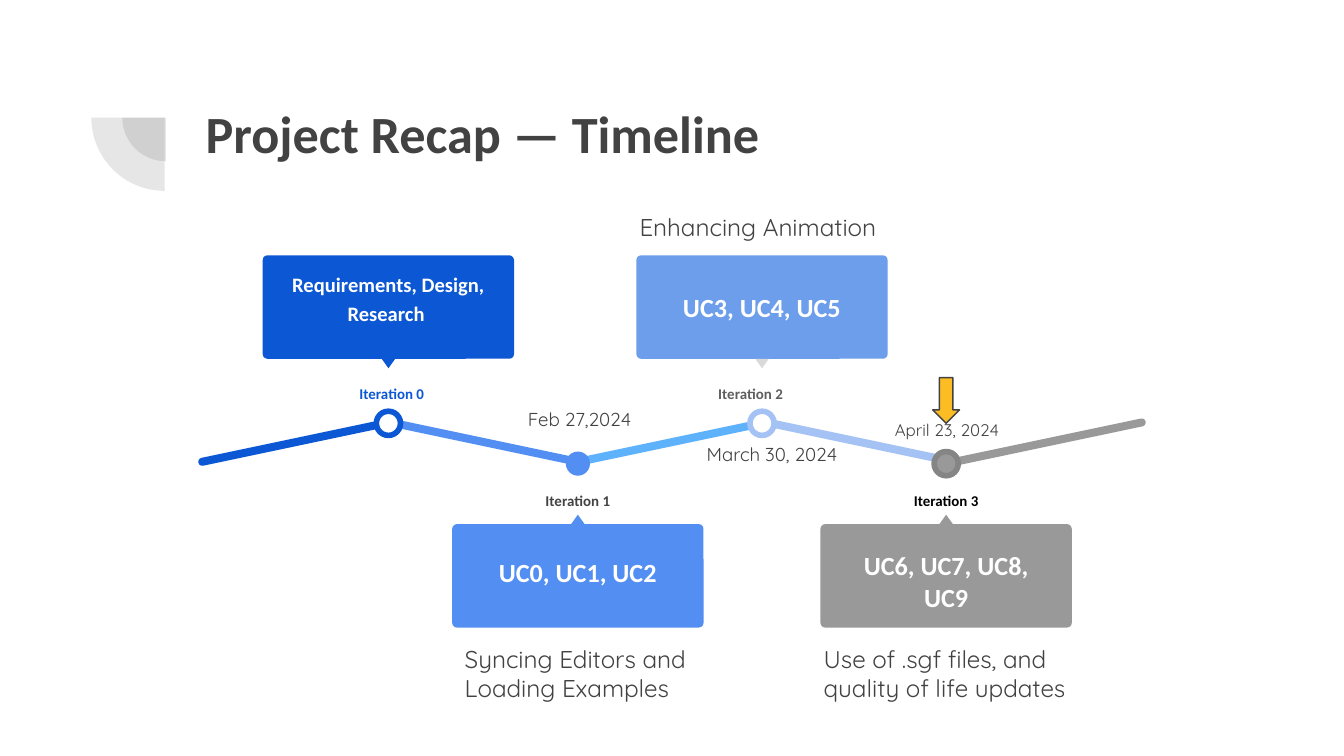
from dataclasses import dataclass

from lxml import etree
from pptx import Presentation
from pptx.dml.color import RGBColor
from pptx.enum.shapes import MSO_SHAPE as Preset
from pptx.enum.text import MSO_ANCHOR as Anchor, MSO_AUTO_SIZE as AutoSize, PP_ALIGN as Align
from pptx.oxml.ns import qn
from pptx.util import Inches, Pt

CHARCOAL = RGBColor(0x42, 0x42, 0x42)
LABEL_GRAY = RGBColor(0x43, 0x43, 0x43)
MID_GRAY = RGBColor(0x5E, 0x5E, 0x5E)
RING_GRAY = RGBColor(0x85, 0x85, 0x85)
GRAY = RGBColor(0x99, 0x99, 0x99)
PALE_GRAY = RGBColor(0xD9, 0xD9, 0xD9)
BLACK = RGBColor(0, 0, 0)
WHITE = RGBColor(0xFF, 0xFF, 0xFF)
DEEP_BLUE = RGBColor(0x0C, 0x57, 0xD3)
BLUE = RGBColor(0x53, 0x8E, 0xF2)
SKY_BLUE = RGBColor(0x5E, 0xB2, 0xFC)
SOFT_BLUE = RGBColor(0x6D, 0x9E, 0xEB)
PALE_BLUE = RGBColor(0xA4, 0xC2, 0xF4)
AMBER = RGBColor(0xFC, 0xBD, 0x24)

HEADING_FONT = "Calibri"
NOTE_FONT = "Quicksand"

PAGE_WIDTH = 10
PAGE_HEIGHT = PAGE_WIDTH * 9 / 16
CARD_WIDTH, CARD_HEIGHT = 1.87, 0.77
CARD_TEXT_WIDTH, CARD_TEXT_HEIGHT = 1.78, 0.68
POINTER_WIDTH, POINTER_HEIGHT = 0.1, 0.07
LABEL_HEIGHT = 0.3
DOT = 0.18
BAR_LEFT, BAR_PITCH, BAR_TOP = 1.46, 1.4, 3.26
BAR_WIDTH, BAR_HEIGHT, BAR_TILT = 1.48, 0.06, 11.9
BAR_COLORS = [DEEP_BLUE, BLUE, SKY_BLUE, PALE_BLUE, GRAY]


@dataclass(frozen=True)
class Row:
    """Heights shared by the milestones on one side of the line."""
    card: float
    pointer: float
    label: float
    dot: float
    pointer_turn: int


@dataclass(frozen=True)
class Milestone:
    label: str
    text: str
    row: Row
    center: float
    label_left: float
    label_width: float
    text_top: float
    card: RGBColor
    pointer: RGBColor
    label_color: RGBColor
    dot: RGBColor
    ring: RGBColor | None = None
    size: int = 14
    spacing: float = 1.0


@dataclass(frozen=True)
class Note:
    text: str
    left: float
    top: float
    width: float
    height: float
    size: int


ABOVE = Row(card=1.9, pointer=2.67, label=2.74, dot=3.06, pointer_turn=180)
BELOW = Row(card=3.9, pointer=3.83, label=3.54, dot=3.36, pointer_turn=0)

MILESTONES = [
    Milestone("Iteration 0", "Requirements, Design, Research ", ABOVE, 2.89, 2.47, 0.89, 1.9,
              DEEP_BLUE, DEEP_BLUE, DEEP_BLUE, WHITE, DEEP_BLUE, size=11, spacing=1.15),
    Milestone("Iteration 1", "UC0, UC1, UC2", BELOW, 4.3, 3.92, 0.76, 4.04,
              BLUE, BLUE, LABEL_GRAY, BLUE),
    Milestone("Iteration 2", "UC3, UC4, UC5", ABOVE, 5.67, 5.11, 0.95, 2.07,
              SOFT_BLUE, PALE_GRAY, MID_GRAY, WHITE, PALE_BLUE),
    Milestone("Iteration 3", "UC6, UC7, UC8, UC9", BELOW, 7.04, 6.53, 1.02, 3.99,
              GRAY, GRAY, BLACK, GRAY, RING_GRAY),
]

NOTES = [
    Note("Enhancing Animation", 4.66, 1.48, 2.02, 0.42, 13),
    Note("Syncing Editors and Loading Examples", 3.36, 4.69, 1.87, 0.64, 13),
    Note("Use of .sgf files, and quality of life updates", 6.03, 4.69, 2.02, 0.64, 13),
    Note("April 23, 2024", 6.56, 3.04, 1.11, 0.16, 9),
    Note("March 30, 2024", 5.16, 3.24, 1.22, 0.11, 10),
    Note("Feb 27,2024", 3.83, 2.98, 1.22, 0.11, 10),
]


def add_preset(page, preset: Preset, left: float, top: float, width: float, height: float,
               fill: RGBColor, line: RGBColor | None = None, line_width: float = 3,
               turn: float = 0, adjustments: tuple[float, ...] = ()):
    shape = page.shapes.add_shape(preset, Inches(left), Inches(top), Inches(width), Inches(height))
    shape.shadow.inherit = False
    shape.rotation = turn
    for index, value in enumerate(adjustments):
        shape.adjustments[index] = value
    shape.fill.solid()
    shape.fill.fore_color.rgb = fill
    if line is None:
        shape.line.fill.background()
    else:
        shape.line.color.rgb = line
        shape.line.width = Pt(line_width)
    return shape


def write(box, text: str, font: str, size: int, color: RGBColor, bold: bool = False,
          align: Align = Align.LEFT, spacing: float = 1.0) -> None:
    frame = box.text_frame
    frame.word_wrap = True
    frame.auto_size = AutoSize.NONE
    frame.vertical_anchor = Anchor.TOP
    frame.margin_left = frame.margin_right = Inches(0.1)
    frame.margin_top = frame.margin_bottom = Inches(0.1)
    para = frame.paragraphs[0]
    para.text = text
    para.alignment = align
    para.line_spacing = spacing
    para.font.name = font
    para.font.size = Pt(size)
    para.font.bold = bold
    para.font.color.rgb = color


def add_text(page, left: float, top: float, width: float, height: float, text: str,
             font: str, size: int, color: RGBColor, **style) -> None:
    box = page.shapes.add_textbox(Inches(left), Inches(top), Inches(width), Inches(height))
    write(box, text, font, size, color, **style)


def add_quarter(page, left: float, top: float, size: float) -> None:
    """Draw a see-through quarter disc of the title ornament."""
    pie = add_preset(page, Preset.PIE, left, top, size, size, CHARCOAL,
                     turn=270, adjustments=(108, 162))
    color = pie.fill._xPr.find(qn("a:solidFill"))[0]
    etree.SubElement(color, qn("a:alpha")).set("val", "13000")


def add_milestone(page, stone: Milestone) -> None:
    row = stone.row
    add_preset(page, Preset.OVAL, stone.center - DOT / 2, row.dot, DOT, DOT,
               stone.dot, stone.ring)
    add_preset(page, Preset.ROUNDED_RECTANGLE, stone.center - CARD_WIDTH / 2, row.card,
               CARD_WIDTH, CARD_HEIGHT, stone.card, adjustments=(0.045,))
    add_preset(page, Preset.ISOSCELES_TRIANGLE, stone.center - POINTER_WIDTH / 2, row.pointer,
               POINTER_WIDTH, POINTER_HEIGHT, stone.pointer, turn=row.pointer_turn)
    add_text(page, stone.label_left, row.label, stone.label_width, LABEL_HEIGHT,
             stone.label, HEADING_FONT, 8, stone.label_color,
             bold=True, align=Align.CENTER, spacing=1.15)
    add_text(page, stone.center - CARD_TEXT_WIDTH / 2, stone.text_top,
             CARD_TEXT_WIDTH, CARD_TEXT_HEIGHT, stone.text, HEADING_FONT, stone.size, WHITE,
             bold=True, align=Align.CENTER, spacing=stone.spacing)


def main() -> None:
    deck = Presentation()
    deck.slide_width, deck.slide_height = Inches(PAGE_WIDTH), Inches(PAGE_HEIGHT)
    page = deck.slides.add_slide(deck.slide_layouts[5])

    add_quarter(page, 0.91, 0.55, 0.65)
    add_quarter(page, 0.68, 0.33, 1.09)

    title = page.shapes.title
    title.left, title.top = Inches(1.43), Inches(0.65)
    title.width, title.height = Inches(7.69), Inches(1.09)
    write(title, "Project Recap — Timeline", HEADING_FONT, 28, CHARCOAL, bold=True)

    for index, color in reversed(list(enumerate(BAR_COLORS))):
        tilt = BAR_TILT if index % 2 else 360 - BAR_TILT
        add_preset(page, Preset.ROUNDED_RECTANGLE, BAR_LEFT + index * BAR_PITCH, BAR_TOP,
                   BAR_WIDTH, BAR_HEIGHT, color, turn=tilt, adjustments=(0.5,))
    for stone in reversed(MILESTONES):
        add_milestone(page, stone)
    for note in NOTES:
        add_text(page, note.left, note.top, note.width, note.height,
                 note.text, NOTE_FONT, note.size, CHARCOAL)
    add_preset(page, Preset.DOWN_ARROW, 6.94, 2.81, 0.2, 0.34, AMBER, CHARCOAL, 0.75)

    deck.save("out.pptx")


if __name__ == "__main__":
    main()
